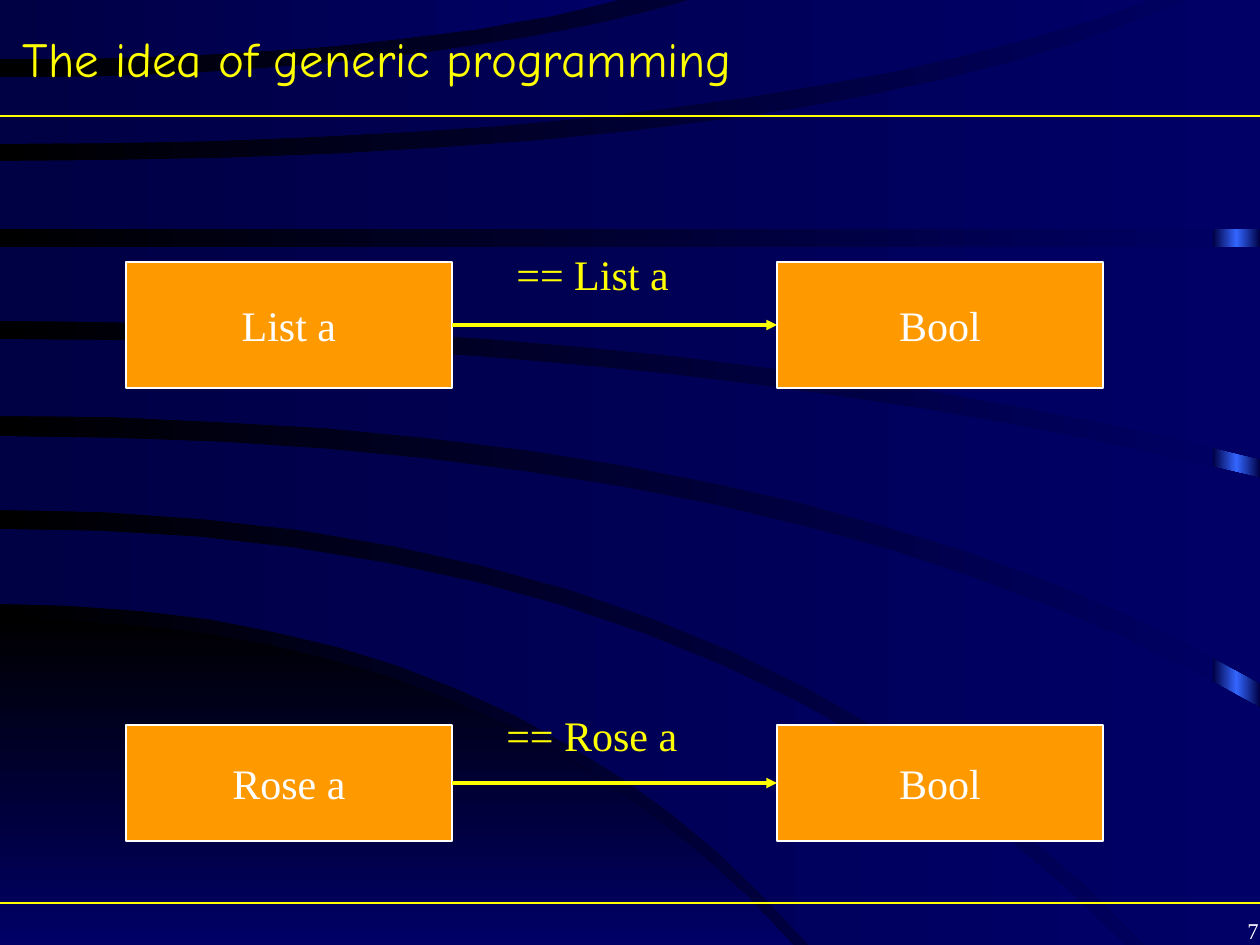
from lxml.etree import SubElement
from pptx import Presentation
from pptx.dml.color import RGBColor
from pptx.enum.shapes import MSO_CONNECTOR, MSO_SHAPE
from pptx.enum.text import MSO_ANCHOR, PP_ALIGN
from pptx.oxml.ns import qn
from pptx.util import Pt

PX = 914400 / 126
W, H = 1260, 945
C = {"black": "000000", "navy": "000066", "deep": "000044", "glow": "3366FF",
     "orange": "FF9900", "yellow": "FFFF00", "white": "FFFFFF"}
SERIF, HAND = "Times New Roman", "Comic Neue"

# Content
TITLE = "The idea of generic programming"
NUMBER = "7"
ROWS = [  # source type, function, result type, top, height, label box
    ("List a", "== List a", "Bool", 262, 126, (504, 242, 220, 63)),
    ("Rose a", "== Rose a", "Bool", 725, 116, (494, 703, 242, 63)),
]
BOX_LEFTS, BOX_WIDTH = (126, 777), 326
RULES = (903, 116)

# Background arcs: height at the left edge, a middle point, the end point
STEPS = 14
DOME = (619, (452, 701), (793, H))
BANDS = [  # upper arc, lower arc, corners between their ends
    ((529, (642, 633), (1125, H)), (604, (458, 689), (809, H)), []),
    ((436, (715, 505), (W, 708)), (510, (654, 619), (1145, H)), [(W, H)]),
    ((339, (668, 374), (W, 478)), (416, (714, 483), (W, 683)), []),
    ((247, (W / 2, 247), (W, 247)), (321, (675, 356), (W, 459)), []),
    ((161, (713, 121), (1185, 0)), (229, (W / 2, 229), (W, 229)), [(W, 0)]),
    ((77, (382, 58), (690, 0)), (144, (668, 108), (1150, 0)), []),
    ((0, (308, 0), (617, 0)), (59, (354, 44), (617, 0)), []),
]


def px(*values):
    return [round(v * PX) for v in values]


def rgb(name):
    return RGBColor.from_string(C[name])


def arc(left_y, middle, end):
    """Points of the quadratic curve that passes through middle halfway."""
    start = (0, left_y)
    control = [2 * m - (a + b) / 2 for a, m, b in zip(start, middle, end)]
    return [tuple((1 - t) ** 2 * a + 2 * t * (1 - t) * c + t * t * b
                  for a, c, b in zip(start, control, end))
            for t in (i / STEPS for i in range(STEPS + 1))]


def set_gradient(fill, first, last, angle=0):
    fill.gradient()
    fill.gradient_angle = angle
    for i, name in enumerate((first, last)):
        fill.gradient_stops[i].color.rgb = rgb(name)
        fill.gradient_stops[i].position = i


def add_curve(points, first, last, angle=0):
    builder = s.shapes.build_freeform(*points[0], scale=PX)
    builder.add_line_segments(points[1:], close=True)
    sp = builder.convert_to_shape()
    set_gradient(sp.fill, first, last, angle)
    sp.line.fill.background()
    sp.shadow.inherit = False


def add_rect(left, top, width, height):
    sp = s.shapes.add_shape(MSO_SHAPE.RECTANGLE, *px(left, top, width, height))
    sp.shadow.inherit = False
    return sp


def add_line(x1, y1, x2, y2, width):
    line = s.shapes.add_connector(MSO_CONNECTOR.STRAIGHT, *px(x1, y1, x2, y2))
    line.line.color.rgb = rgb("yellow")
    line.line.width = Pt(width)
    SubElement(line._element.spPr, qn("a:effectLst"))
    return line


def write(sp, text, size=24, font=SERIF, color="white", align=PP_ALIGN.LEFT,
          anchor=MSO_ANCHOR.TOP, wrap=True, before=0, spacing=1.0):
    tf = sp.text_frame
    tf.word_wrap, tf.vertical_anchor = wrap, anchor
    p = tf.paragraphs[0]
    p.alignment, p.line_spacing, p.space_before = align, spacing, Pt(before)
    r = p.add_run()
    r.text = text
    r.font.size, r.font.name = Pt(size), font
    r.font.color.rgb = rgb(color)


prs = Presentation()
prs.slide_width, prs.slide_height = px(W, H)
s = prs.slides.add_slide(prs.slide_layouts[5])

# Background
set_gradient(s.background.fill, "black", "navy")
add_curve(arc(*DOME) + [(0, H)], "black", "navy", angle=270)
strip = add_rect(1213, 0, W - 1213, H)
set_gradient(strip.fill, "deep", "deep")
stops = strip._element.spPr.find(qn("a:gradFill")).find(qn("a:gsLst"))
middle_stop = SubElement(stops, qn("a:gs"), pos="50000")
SubElement(middle_stop, qn("a:srgbClr"), val=C["glow"])
stops.insert(1, middle_stop)
strip.line.fill.background()
for upper, lower, corners in BANDS:
    add_curve(arc(*upper) + corners + arc(*lower)[::-1], "deep", "navy")
for y in RULES:
    add_line(0, y, W, y, 0.75)

# Title, brought in front of the background
title = s.shapes.title
title.left, title.top, title.width, title.height = px(10, 0, 1071, 116)
write(title, TITLE, size=28, font=HAND, color="yellow", anchor=MSO_ANCHOR.MIDDLE)
s.shapes._spTree.append(title._element)

# Slide number
write(s.shapes.add_textbox(*px(1172, 914, 99, 42)), NUMBER, size=12.9,
      align=PP_ALIGN.RIGHT, spacing=0.9)

# Type boxes, arrows and function labels
for source, function, result, top, height, label in ROWS:
    boxes = []
    for left, text in zip(BOX_LEFTS, (source, result)):
        sp = add_rect(left, top, BOX_WIDTH, height)
        sp.fill.solid()
        sp.fill.fore_color.rgb = rgb("orange")
        sp.line.color.rgb = rgb("white")
        sp.line.width = Pt(0.75)
        write(sp, text, align=PP_ALIGN.CENTER, anchor=MSO_ANCHOR.MIDDLE, wrap=False)
        boxes.append(sp)
    mid = top + height / 2
    arrow = add_line(BOX_LEFTS[0] + BOX_WIDTH, mid, BOX_LEFTS[1], mid, 2)
    arrow.begin_connect(boxes[0], 3)
    arrow.end_connect(boxes[1], 1)
    SubElement(arrow._element.spPr.find(qn("a:ln")), qn("a:tailEnd"), type="triangle")
    write(s.shapes.add_textbox(*px(*label)), function, color="yellow", before=15)

prs.save("out.pptx")
